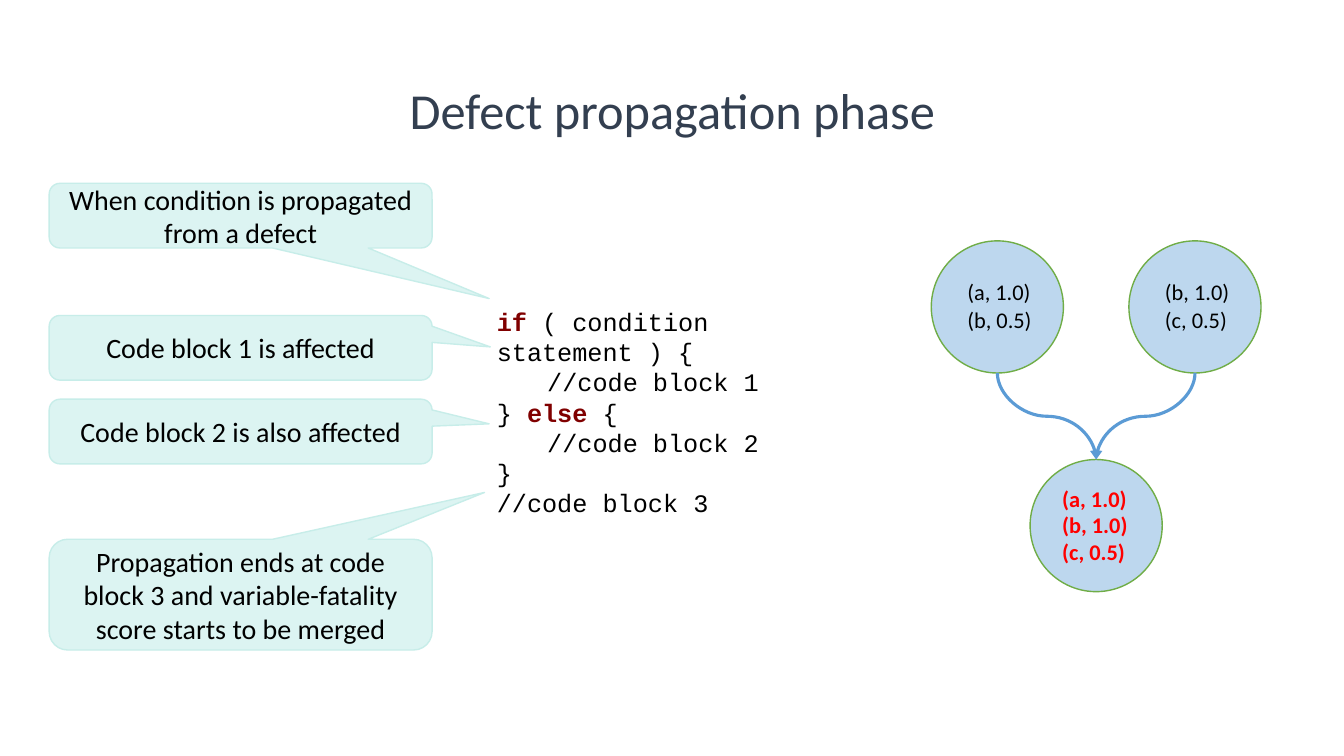
from dataclasses import dataclass

from lxml.etree import SubElement
from pptx import Presentation
from pptx.dml.color import RGBColor
from pptx.enum.shapes import MSO_CONNECTOR, MSO_SHAPE
from pptx.enum.text import MSO_ANCHOR, MSO_AUTO_SIZE, PP_ALIGN
from pptx.oxml.ns import qn
from pptx.util import Cm, Pt


@dataclass(frozen=True)
class Theme:
    """Hold the colours, fonts and type sizes of the deck."""
    body_font: str = "Calibri"
    code_font: str = "Courier New"
    title_size: float = 36
    callout_size: float = 20
    code_size: float = 18
    label_size: float = 16
    title: str = "333F50"
    text: str = "000000"
    keyword: str = "800000"
    merged: str = "FF0000"
    callout_fill: str = "DCF4F2"
    callout_line: str = "C7EDE9"
    node_fill: str = "BDD7EE"
    node_line: str = "70AD47"
    arrow: str = "5B9BD5"


THEME = Theme()
NODE_SIZE = 3.33
CALLOUTS = [
    ("When condition is propagated from a defect", 4.62, 1.63, (0.649, 1.282)),
    ("Code block 1 is affected", 7.95, 1.63, (0.652, -0.014)),
    ("Code block 2 is also affected", 10.06, 1.63, (0.649, -0.119)),
    ("Propagation ends at code block 3 and variable-fatality score starts to be merged",
     13.59, 2.79, (0.637, -0.923)),
]
CODE = [
    ["if", " ( condition statement ) {"],
    ["\t//code block 1"],
    ["} ", "else", " {"],
    ["\t//code block 2"],
    ["}"],
    ["//code block 3"],
]
SOURCES = [(23.47, ["(a, 1.0)", "(b, 0.5)"]), (28.45, ["(b, 1.0)", "(c, 0.5)"])]


def write(para, text, *, size, color=THEME.text, font=THEME.body_font, bold=False, align=None):
    """Append a formatted span of text to a paragraph."""
    span = para.add_run()
    span.text = text
    span.font.name = font
    span.font.size = Pt(size)
    span.font.bold = bold
    span.font.color.rgb = RGBColor.from_string(color)
    if align is not None:
        para.alignment = align


def next_para(frame, index):
    """Return the first paragraph of a frame, or a new one after it."""
    return frame.add_paragraph() if index else frame.paragraphs[0]


def add_title(page, text):
    """Place and format the title placeholder."""
    box = page.shapes.title
    box.left, box.top, box.width, box.height = Cm(2.34), Cm(1.02), Cm(29.21), Cm(3.68)
    frame = box.text_frame
    frame.auto_size = MSO_AUTO_SIZE.NONE
    frame.vertical_anchor = MSO_ANCHOR.MIDDLE
    para = frame.paragraphs[0]
    para.line_spacing = 0.9
    write(para, text, size=THEME.title_size, color=THEME.title, align=PP_ALIGN.CENTER)


def add_shape(page, kind, left, top, width, height, fill, line):
    """Add a flat preset shape with a thin outline."""
    shape = page.shapes.add_shape(kind, Cm(left), Cm(top), Cm(width), Cm(height))
    shape.shadow.inherit = False
    shape.fill.solid()
    shape.fill.fore_color.rgb = RGBColor.from_string(fill)
    shape.line.color.rgb = RGBColor.from_string(line)
    shape.line.width = Pt(1)
    return shape


def add_callout(page, text, top, height, tip):
    """Add a rounded callout whose tip points at the code."""
    shape = add_shape(page, MSO_SHAPE.ROUNDED_RECTANGULAR_CALLOUT, 1.24, top, 9.65, height,
                      THEME.callout_fill, THEME.callout_line)
    for index, value in enumerate((*tip, 0.167)):
        shape.adjustments[index] = value
    frame = shape.text_frame
    frame.word_wrap = True
    frame.vertical_anchor = MSO_ANCHOR.MIDDLE
    write(frame.paragraphs[0], text, size=THEME.callout_size, align=PP_ALIGN.CENTER)


def add_node(page, left, top):
    """Add a graph node."""
    return add_shape(page, MSO_SHAPE.OVAL, left, top, NODE_SIZE, NODE_SIZE,
                     THEME.node_fill, THEME.node_line)


def add_frame(page, left, top, width, height, wrap):
    """Add a text box that grows with its text and return its frame."""
    frame = page.shapes.add_textbox(Cm(left), Cm(top), Cm(width), Cm(height)).text_frame
    frame.word_wrap = wrap
    frame.auto_size = MSO_AUTO_SIZE.SHAPE_TO_FIT_TEXT
    return frame


def add_label(page, lines, left, top, height, **style):
    """Add the variable scores of a node."""
    frame = add_frame(page, left, top, 2.15, height, False)
    for index, line in enumerate(lines):
        write(next_para(frame, index), line, size=THEME.label_size, **style)


def add_code(page):
    """Add the code sample with highlighted keywords."""
    frame = add_frame(page, 12.27, 7.59, 10.31, 4.88, True)
    for index, pieces in enumerate(CODE):
        para = next_para(frame, index)
        for piece in pieces:
            keyword = piece in ("if", "else")
            write(para, piece, size=THEME.code_size, font=THEME.code_font, bold=keyword,
                  color=THEME.keyword if keyword else THEME.text)


def add_arrow(page, source, target):
    """Join the bottom of one node to the top of another by a vertical S-curve."""
    arrow = page.shapes.add_connector(MSO_CONNECTOR.CURVE, 0, 0, 0, 0)
    arrow.begin_connect(source, 2)
    arrow.end_connect(target, 0)
    rightward = source.left < target.left
    across, down = arrow.width, arrow.height
    arrow.left += (across - down) // 2
    arrow.top += (down - across) // 2
    arrow.width, arrow.height = down, across
    arrow.line.color.rgb = RGBColor.from_string(THEME.arrow)
    arrow.line.width = Pt(2.25)
    element = arrow._element
    element.find(".//" + qn("a:stCxn")).set("idx", "4")
    transform = element.find(".//" + qn("a:xfrm"))
    transform.set("rot", str((270 if rightward else 90) * 60000))
    transform.set("flipH", "1" if rightward else "0")
    SubElement(element.find(".//" + qn("a:ln")), qn("a:tailEnd"), type="triangle")
    SubElement(element.spPr, qn("a:effectLst"))


def add_graph(page):
    """Add the two source nodes merging into one."""
    sources = [add_node(page, left, 6.07) for left, _ in SOURCES]
    merged = add_node(page, 25.96, 11.58)
    for source in sources:
        add_arrow(page, source, merged)
    for left, lines in SOURCES:
        for row, line in enumerate(lines):
            add_label(page, [line], left + 0.66, 6.88 + row * 0.71, 0.94)
    add_label(page, ["(a, 1.0)", "(b, 1.0)", "(c, 0.5)"], 26.52, 12.09, 2.31,
              color=THEME.merged, bold=True)


def main():
    """Build and save the deck."""
    deck = Presentation()
    deck.slide_width, deck.slide_height = Cm(33.87), Cm(19.05)
    page = deck.slides.add_slide(deck.slide_layouts[5])
    add_title(page, "Defect propagation phase")
    add_code(page)
    add_graph(page)
    for callout in CALLOUTS:
        add_callout(page, *callout)
    deck.save("out.pptx")


if __name__ == "__main__":
    main()
